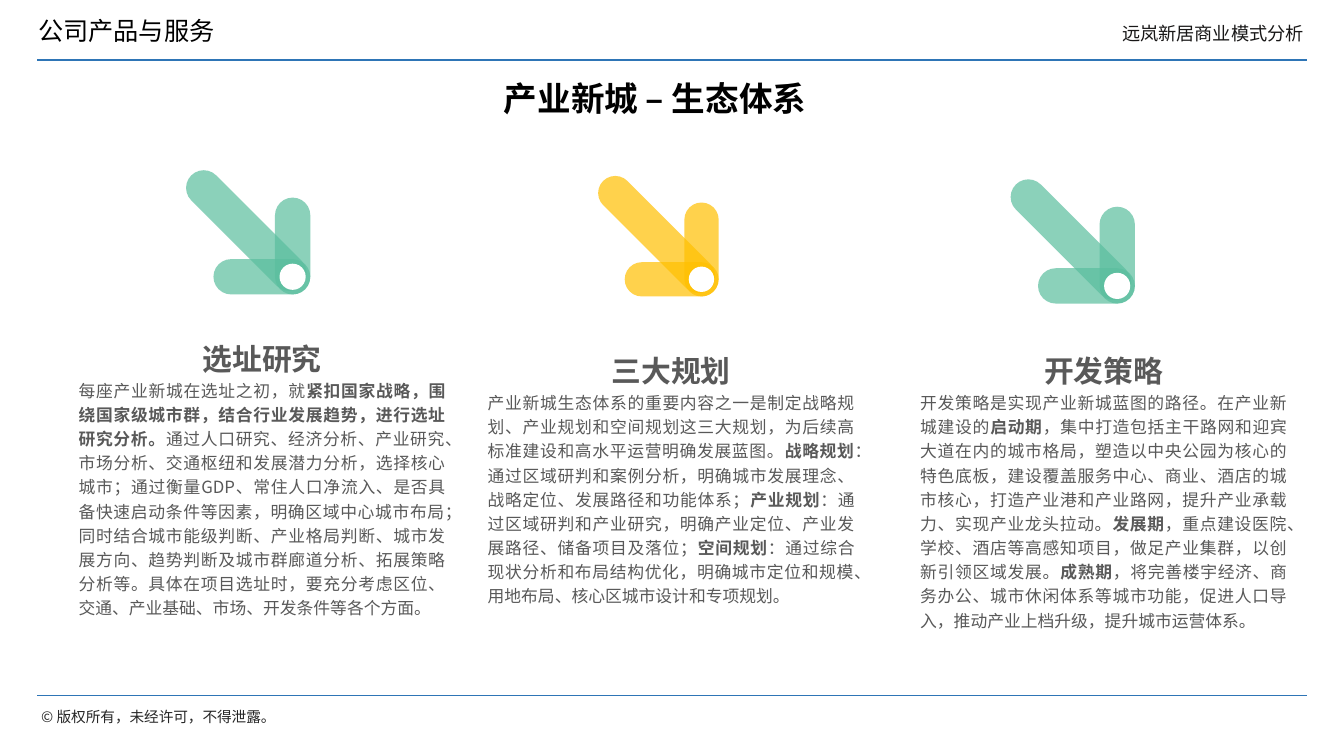
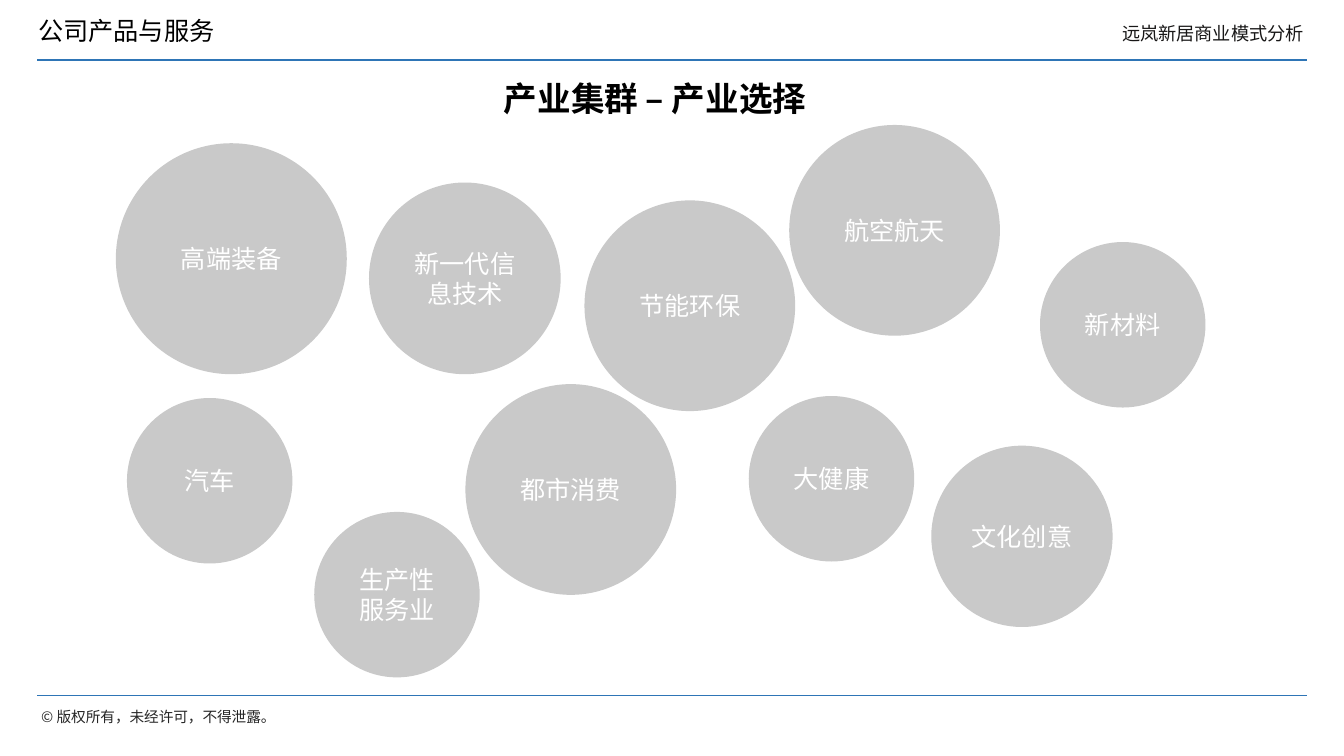
import pptx
import pptx.util
from lxml import etree
from pptx.dml.color import RGBColor
from pptx.enum.shapes import MSO_CONNECTOR, MSO_SHAPE
from pptx.enum.text import MSO_ANCHOR, MSO_AUTO_SIZE, PP_ALIGN
from pptx.oxml.ns import qn
from pptx.util import Cm

FONT = "Noto Sans CJK SC"
COLORS = {
    "rule": "2E75B6", "black": "000000", "running": "181717", "footer": "262626",
    "body": "595959", "green": "5ABE9E", "yellow": "FFC000", "bubble": "C9C9C9",
    "white": "FFFFFF",
}

SECTION = "公司产品与服务"
RUNNING_HEAD = "远岚新居商业模式分析"
COPYRIGHT = "© 版权所有，未经许可，不得泄露。"

# Arrow tip and text corner are (x, y) in cm; passages alternate regular and bold.
COLUMNS = [
    {"heading": "选址研究", "color": "green", "tip": (7.82, 7.42), "scale": 1,
     "corner": (1.73, 8.28), "height": 7.44, "passages": [
        "每座产业新城在选址之初，就",
        "紧扣国家战略，围绕国家级城市群，结合行业发展趋势，进行选址研究分析。",
        "通过人口研究、经济分析、产业研究、市场分析、交通枢纽和发展潜力分析，选择核心城市；"
        "通过衡量GDP、常住人口净流入、是否具备快速启动条件等因素，明确区域中心城市布局；"
        "同时结合城市能级判断、产业格局判断、城市发展方向、趋势判断及城市群廊道分析、拓展策略分析等。"
        "具体在项目选址时，要充分考虑区位、交通、产业基础、市场、开发条件等各个方面。"]},
    {"heading": "三大规划", "color": "yellow", "tip": (18.11, 7.47), "scale": 0.97,
     "corner": (12.04, 8.59), "height": 6.83, "passages": [
        "产业新城生态体系的重要内容之一是制定战略规划、产业规划和空间规划这三大规划，"
        "为后续高标准建设和高水平运营明确发展蓝图。",
        "战略规划",
        "：通过区域研判和案例分析，明确城市发展理念、战略定位、发展路径和功能体系；",
        "产业规划",
        "：通过区域研判和产业研究，明确产业定位、产业发展路径、储备项目及落位；",
        "空间规划",
        "：通过综合现状分析和布局结构优化，明确城市定位和规模、用地布局、核心区城市设计和专项规划。"]},
    {"heading": "开发策略", "color": "green", "tip": (28.6, 7.65), "scale": 1,
     "corner": (22.94, 8.59), "height": 7.44, "passages": [
        "开发策略是实现产业新城蓝图的路径。在产业新城建设的",
        "启动期",
        "，集中打造包括主干路网和迎宾大道在内的城市格局，塑造以中央公园为核心的特色底板，"
        "建设覆盖服务中心、商业、酒店的城市核心，打造产业港和产业路网，提升产业承载力、实现产业龙头拉动。",
        "发展期",
        "，重点建设医院、学校、酒店等高感知项目，做足产业集群，以创新引领区域发展。",
        "成熟期",
        "，将完善楼宇经济、商务办公、城市休闲体系等城市功能，促进人口导入，"
        "推动产业上档升级，提升城市运营体系。"]},
]
COLUMN_WIDTH = 9.75

# Industry, left, top, diameter in cm
INDUSTRIES = [
    ("新一代信息技术", 9.3, 4.6, 4.83),
    ("高端装备", 2.92, 3.61, 5.82),
    ("都市消费", 11.73, 9.68, 5.31),
    ("大健康", 18.87, 9.98, 4.17),
    ("汽车", 3.2, 10.03, 4.17),
    ("生产性服务业", 7.92, 12.9, 4.17),
    ("航空航天", 19.89, 3.15, 5.31),
    ("文化创意", 23.47, 11.23, 4.57),
    ("节能环保", 14.73, 5.05, 5.31),
    ("新材料", 26.21, 6.1, 4.17),
]


def rgb(name):
    return RGBColor.from_string(COLORS[name])


def add_run(paragraph, text, size, color, bold=False):
    run = paragraph.add_run()
    run.text = text
    run.font.size = pptx.util.Pt(size)
    run.font.bold = bold
    run.font.color.rgb = rgb(color)
    run.font.name = FONT
    east_asian = etree.SubElement(run.font._element, qn("a:ea"))
    east_asian.set("typeface", FONT)


def add_text_frame(slide, left, top, width, height, inset=None):
    frame = slide.shapes.add_textbox(Cm(left), Cm(top), Cm(width), Cm(height)).text_frame
    frame.word_wrap = True
    frame.auto_size = MSO_AUTO_SIZE.SHAPE_TO_FIT_TEXT
    if inset is not None:
        frame.margin_left = frame.margin_right = Cm(inset)
        frame.margin_top = frame.margin_bottom = Cm(inset)
    return frame


def add_solid(shapes, preset, left, top, width, height, color, opacity=None):
    """Add a flat, borderless shape; opacity is a percentage."""
    solid = shapes.add_shape(preset, Cm(left), Cm(top), Cm(width), Cm(height))
    solid.shadow.inherit = False
    solid.line.fill.background()
    solid.fill.solid()
    solid.fill.fore_color.rgb = rgb(color)
    if opacity is not None:
        tint = solid.element.spPr.find(".//" + qn("a:srgbClr"))
        etree.SubElement(tint, qn("a:alpha")).set("val", str(opacity * 1000))
    return solid


def prepare_layout(layout):
    """Keep only the title placeholder and give it its place."""
    for placeholder in list(layout.placeholders):
        if placeholder.placeholder_format.idx:
            placeholder.element.getparent().remove(placeholder.element)
    title = layout.placeholders[0]
    title.left, title.top, title.width, title.height = Cm(1.27), Cm(1.96), Cm(30.48), Cm(1.5)
    title.text_frame.vertical_anchor = MSO_ANCHOR.TOP
    title.text_frame.auto_size = MSO_AUTO_SIZE.NONE


def furnish_layout(layout, slide):
    """Draw rules, header and footer on the slide, then move them to its layout."""
    for y, weight in [(1.52, 1.5), (17.53, 0.75)]:
        rule = slide.shapes.add_connector(
            MSO_CONNECTOR.STRAIGHT, Cm(0.94), Cm(y), Cm(32.94), Cm(y))
        rule.line.color.rgb = rgb("rule")
        rule.line.width = pptx.util.Pt(weight)
        etree.SubElement(rule.element.spPr, qn("a:effectLst"))

    running = add_text_frame(slide, 17.35, 0.46, 15.6, 0.76, 0.1).paragraphs[0]
    running.alignment = PP_ALIGN.RIGHT
    add_run(running, RUNNING_HEAD, 13, "running")

    footer = add_text_frame(slide, 0.94, 17.73, 6.27, 0.66, 0.1)
    footer.word_wrap = False
    footer.vertical_anchor = MSO_ANCHOR.MIDDLE
    add_run(footer.paragraphs[0], COPYRIGHT, 10.5, "footer")

    section = add_text_frame(slide, 0.71, 0.25, 16.94, 1.02)
    add_run(section.paragraphs[0], SECTION, 18, "black")

    for part in list(slide.shapes):
        if not part.is_placeholder:
            layout.shapes.element.append(part.element)


def add_titled_slide(deck, layout, title):
    slide = deck.slides.add_slide(layout)
    paragraph = slide.shapes.title.text_frame.paragraphs[0]
    paragraph.alignment = PP_ALIGN.CENTER
    paragraph.line_spacing = 0.9
    add_run(paragraph, title, 24, "black", True)
    return slide


def add_arrow(slide, tip, scale, color):
    """Build a down-right arrow of three rounded bars whose corner is at tip."""
    thick, short, long, diagonal, dot = (
        scale * size for size in (0.89, 2.44, 3.93, 1.61, 0.66))
    shapes = slide.shapes.add_group_shape().shapes
    # Bar length, centre's distance left of and above the tip, rotation
    bars = [
        (short, short / 2, thick / 2, 0),
        (short, thick / 2, short / 2, 90),
        (long, diagonal, diagonal, 45),
    ]
    for length, dx, dy, angle in bars:
        bar = add_solid(shapes, MSO_SHAPE.ROUNDED_RECTANGLE, tip[0] - dx - length / 2,
                        tip[1] - dy - thick / 2, length, thick, color, 70)
        bar.adjustments[0] = 0.5
        bar.rotation = angle
    inset = (thick + dot) / 2
    add_solid(shapes, MSO_SHAPE.OVAL, tip[0] - inset, tip[1] - inset, dot, dot, "white")


def add_column(slide, column):
    add_arrow(slide, column["tip"], column["scale"], column["color"])
    frame = add_text_frame(slide, *column["corner"], COLUMN_WIDTH, column["height"])
    heading, body = frame.paragraphs[0], frame.add_paragraph()
    heading.alignment, body.alignment = PP_ALIGN.CENTER, PP_ALIGN.JUSTIFY
    heading.line_spacing = body.line_spacing = 1.2
    add_run(heading, column["heading"], 21.3, "body", True)
    for index, passage in enumerate(column["passages"]):
        add_run(body, passage, 12, "body", index % 2 == 1)


def add_bubble(slide, industry, left, top, diameter):
    bubble = add_solid(slide.shapes, MSO_SHAPE.OVAL, left, top, diameter, diameter, "bubble")
    frame = bubble.text_frame
    frame.word_wrap = True
    frame.vertical_anchor = MSO_ANCHOR.MIDDLE
    frame.paragraphs[0].alignment = PP_ALIGN.CENTER
    add_run(frame.paragraphs[0], industry, 18, "white")


def main():
    deck = pptx.Presentation()
    deck.slide_width, deck.slide_height = Cm(33.87), Cm(19.05)
    layout = deck.slide_layouts[5]
    prepare_layout(layout)

    ecosystem = add_titled_slide(deck, layout, "产业新城 – 生态体系")
    furnish_layout(layout, ecosystem)
    for column in COLUMNS:
        add_column(ecosystem, column)

    clusters = add_titled_slide(deck, layout, "产业集群 – 产业选择")
    for industry in INDUSTRIES:
        add_bubble(clusters, *industry)

    deck.save("out.pptx")


if __name__ == "__main__":
    main()
